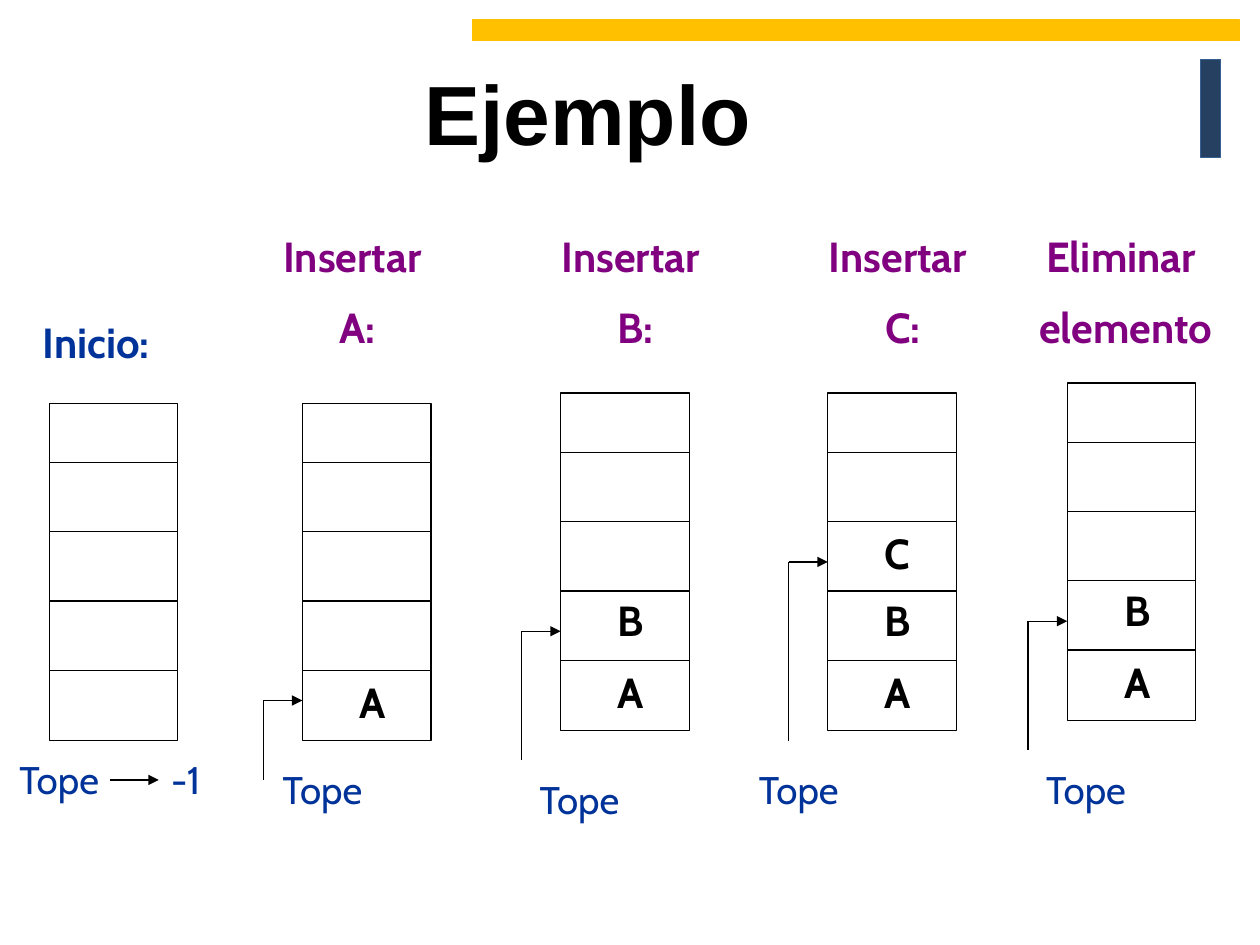
from dataclasses import dataclass
from lxml import etree
from pptx import Presentation
from pptx import util as u
from pptx.dml.color import RGBColor
from pptx.enum import shapes, text
from pptx.oxml import ns


@dataclass(frozen=True)
class Theme:
    ink: str = "000000"
    blue: str = "003399"
    plum: str = "800080"
    navy: str = "254061"
    edge: str = "376092"
    gold: str = "FFC000"
    font: str = "Cabin"
    display: str = "Arial"
    title: int = 48
    head: int = 24
    label: int = 22
    gap: int = 12
    line: float = 0.75


T = Theme()
SCALE = 9144
WIDTH, HEIGHT = 102, 268
FIRST, STEP, CELLS = 47, 55, 5
REACH = 31
LETTERS = {"A": 212, "B": 155, "C": 102}

HEADS = [
    (177, "Insertar \nA:"),
    (398, "Insertar \nB:"),
    (610, "Insertar \nC:"),
    (787, "Eliminar \nelemento"),
]

STACKS = [
    (240, 320, "A", 236, 619, 209, 603),
    (445, 312, "AB", 189, 603, 413, 611),
    (657, 312, "ABC", 134, 588, 587, 603),
    (847, 304, "AB", 189, 595, 815, 603),
]


def px(n):
    return u.Emu(n * SCALE)


def rgb(code):
    return RGBColor.from_string(code)


def write(parent, words, x, y, w, h, size=T.head, color=T.ink, bold=True,
          font=T.font, center=True, wrap=True):
    frame = parent.add_textbox(px(x), px(y), px(w), px(h)).text_frame
    frame.word_wrap = wrap
    frame.auto_size = text.MSO_AUTO_SIZE.SHAPE_TO_FIT_TEXT
    for i, row in enumerate(words.split("\n")):
        para = frame.paragraphs[0] if i == 0 else frame.add_paragraph()
        if i:
            para.space_before = u.Pt(T.gap)
        para.alignment = text.PP_ALIGN.CENTER if center else text.PP_ALIGN.LEFT
        run = para.add_run()
        run.text = row
        run.font.name = font
        run.font.size = u.Pt(size)
        run.font.bold = bold
        run.font.color.rgb = rgb(color)


def box(parent, x, y, w, h, fill=None, edge=T.ink):
    rect = parent.add_shape(shapes.MSO_SHAPE.RECTANGLE, px(x), px(y), px(w), px(h))
    rect.shadow.inherit = False
    if fill:
        rect.fill.solid()
        rect.fill.fore_color.rgb = rgb(fill)
    else:
        rect.fill.background()
    rect.line.color.rgb = rgb(edge)
    rect.line.width = u.Pt(T.line)


def rule(parent, x1, y1, x2, y2, arrow=False):
    line = parent.add_connector(shapes.MSO_CONNECTOR.STRAIGHT,
                                px(x1), px(y1), px(x2), px(y2))
    line.line.color.rgb = rgb(T.ink)
    line.line.width = u.Pt(T.line)
    if arrow:
        tip = etree.SubElement(line.line._get_or_add_ln(), ns.qn("a:tailEnd"))
        tip.set("type", "triangle")
    etree.SubElement(line._element.spPr, ns.qn("a:effectLst"))


def label(parent, words, x, y, w=94, center=True):
    write(parent, words, x, y, w, 47, size=T.label, color=T.blue,
          bold=False, center=center)


def stack(parent, x, y, items=""):
    box(parent, x, y, WIDTH, HEIGHT)
    for i in range(CELLS - 1):
        level = y + FIRST + i * STEP
        rule(parent, x, level, x + WIDTH, level)
    for item in items:
        write(parent, item, x + 16, y + LETTERS[item], 79, 50)


def start(parent):
    stack(parent, 39, 320)
    label(parent, "Tope", 0, 595)
    rule(parent, 87, 619, 126, 619, arrow=True)
    label(parent, "-1", 126, 595, w=79, center=False)


def state(parent, x, y, items, top, foot, tag_x, tag_y):
    stack(parent, x, y, items)
    side, level = x - REACH, y + top
    rule(parent, side, level, x, level, arrow=True)
    rule(parent, side, level, side, foot)
    label(parent, "Tope", tag_x, tag_y)


def main():
    deck = Presentation()
    deck.slide_width, deck.slide_height = px(1000), px(750)
    page = deck.slides.add_slide(deck.slide_layouts[6]).shapes
    box(page, 953, 47, 16, 78, fill=T.navy, edge=T.edge)
    box(page, 375, 16, 609, 16, fill=T.gold, edge=T.gold)
    write(page, "Ejemplo", 327, 44, 280, 90, size=T.title, font=T.display,
          center=False, wrap=False)
    write(page, "Inicio:", 24, 246, 150, 50, color=T.blue, center=False)
    for x, words in HEADS:
        write(page, words, x, 178, 213, 110, color=T.plum)
    start(page.add_group_shape().shapes)
    for row in STACKS:
        state(page.add_group_shape().shapes, *row)
    deck.save("out.pptx")


if __name__ == "__main__":
    main()
